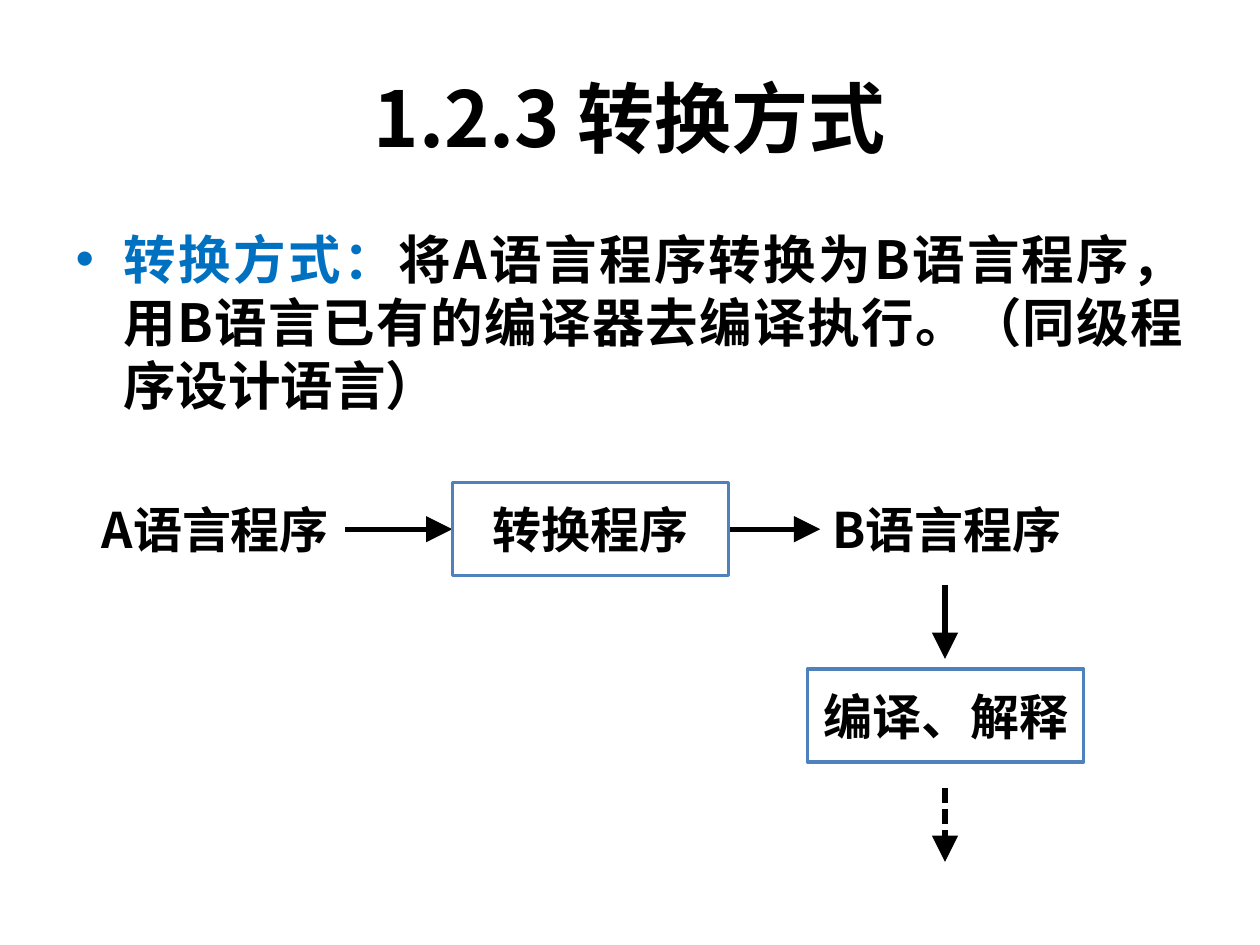
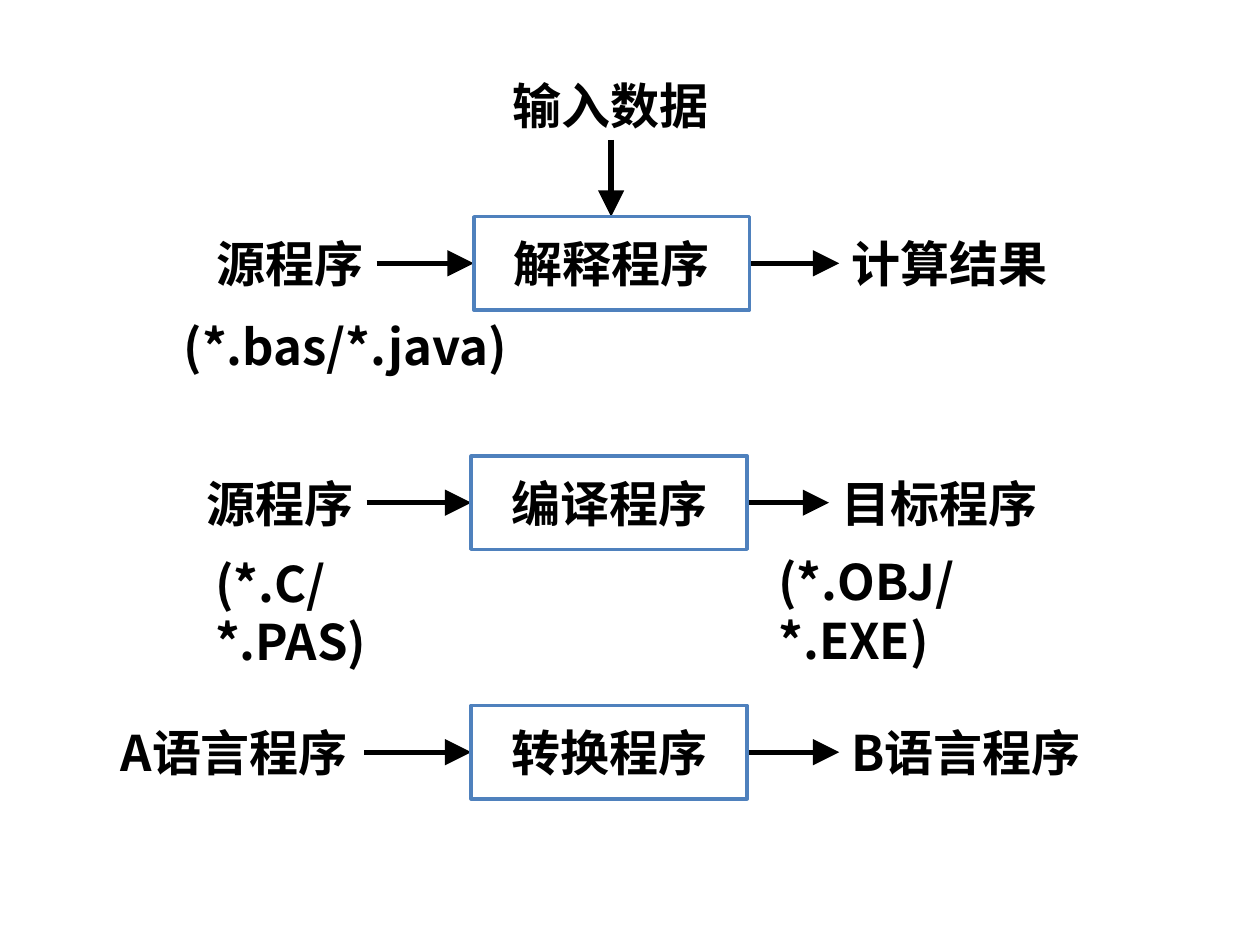
from dataclasses import dataclass

from lxml import etree
from pptx import Presentation
from pptx.dml.color import RGBColor
from pptx.enum.dml import MSO_LINE
from pptx.enum.shapes import MSO_CONNECTOR, MSO_SHAPE
from pptx.enum.text import MSO_ANCHOR, MSO_AUTO_SIZE, PP_ALIGN
from pptx.oxml.ns import qn
from pptx.util import Inches, Pt

CENTER, LEFT, JUSTIFY = PP_ALIGN.CENTER, PP_ALIGN.LEFT, PP_ALIGN.JUSTIFY
MIDDLE = MSO_ANCHOR.MIDDLE
NO_FIT = MSO_AUTO_SIZE.NONE
RECTANGLE = MSO_SHAPE.RECTANGLE
STRAIGHT = MSO_CONNECTOR.STRAIGHT
DASH = MSO_LINE.SQUARE_DOT


@dataclass(frozen=True)
class Theme:
    font: str = "Noto Sans CJK SC"
    ink: RGBColor = RGBColor(0, 0, 0)
    paper: RGBColor = RGBColor(255, 255, 255)
    accent: RGBColor = RGBColor(0x00, 0x70, 0xC0)
    outline: RGBColor = RGBColor(0x4F, 0x81, 0xBD)
    title: int = 44
    body: int = 30
    diagram: int = 28
    box_line: int = 2
    arrow_line: int = 3
    box_width: float = 2.19
    box_height: float = 0.74
    label_height: float = 0.57


theme = Theme()


def style_paragraph(para, size, alignment):
    para.alignment = alignment
    para.space_before = Pt(0)
    font = para.font
    font.name = theme.font
    font.size = Pt(size)
    font.bold = True
    font.color.rgb = theme.ink
    defaults = para._p.pPr.find(qn("a:defRPr"))
    etree.SubElement(defaults, qn("a:ea"), typeface=theme.font)


def draw_arrow(page, start_x, start_y, end_x, end_y, dashed=False):
    arrow = page.shapes.add_connector(
        STRAIGHT, Inches(start_x), Inches(start_y), Inches(end_x), Inches(end_y))
    arrow.line.color.rgb = theme.ink
    arrow.line.width = Pt(theme.arrow_line)
    if dashed:
        arrow.line.dash_style = DASH
    etree.SubElement(arrow.line._get_or_add_ln(), qn("a:tailEnd"),
                     type="triangle", w="lg", len="lg")
    etree.SubElement(arrow._element.spPr, qn("a:effectLst"))


deck = Presentation()
deck.slide_width = Inches(10)
deck.slide_height = Inches(7.5)
conversion_page = deck.slides.add_slide(deck.slide_layouts[1])
summary_page = deck.slides.add_slide(deck.slide_layouts[6])

title = conversion_page.shapes.title
title.left, title.top, title.width, title.height = (
    Inches(0.5), Inches(0.3), Inches(9), Inches(1.25))
title.text_frame.vertical_anchor = MIDDLE
title.text_frame.auto_size = NO_FIT
title.text_frame.text = "1.2.3 转换方式"
style_paragraph(title.text_frame.paragraphs[0], theme.title, CENTER)

body = conversion_page.placeholders[1]
body.left, body.top, body.width, body.height = (
    Inches(0.5), Inches(1.75), Inches(9), Inches(4.95))
body.text_frame.auto_size = NO_FIT
para = body.text_frame.paragraphs[0]
term = para.add_run()
term.text = "转换方式："
explanation = para.add_run()
explanation.text = "将A语言程序转换为B语言程序，用B语言已有的编译器去编译执行。（同级程序设计语言）"
properties = para._p.get_or_add_pPr()
properties.set("marL", str(Inches(0.38)))
properties.set("indent", str(-Inches(0.38)))
properties.set("hangingPunct", "0")
bullet_color = etree.SubElement(properties, qn("a:buClr"))
etree.SubElement(bullet_color, qn("a:srgbClr"), val=str(theme.accent))
etree.SubElement(properties, qn("a:buFont"), typeface="Arial")
etree.SubElement(properties, qn("a:buChar"), char="•")
style_paragraph(para, theme.body, JUSTIFY)
term.font.color.rgb = theme.accent

flows = [
    (conversion_page, 3.59, 3.83, "转换程序",
     "A语言程序", 0.71, 2.03, "B语言程序", 6.51, 2.25),
    (summary_page, 3.76, 1.72, "解释程序",
     "源程序", 1.62, 1.37, "计算结果", 6.66, 1.8),
    (summary_page, 3.74, 3.62, "编译程序",
     "源程序", 1.54, 1.37, "目标程序", 6.58, 1.87),
    (summary_page, 3.74, 5.6, "转换程序",
     "A语言程序", 0.86, 2.03, "B语言程序", 6.66, 2.25),
]
boxes = [(conversion_page, 6.41, 5.31, "编译、解释")]
labels = [
    (summary_page, 3.97, 0.55, 1.8, "输入数据"),
    (summary_page, 1.36, 2.46, 2.8, "(*.bas/*.java)"),
    (summary_page, 1.61, 4.34, 2, "(*.C/*.PAS)"),
    (summary_page, 6.08, 4.33, 2.5, "(*.OBJ/*.EXE)"),
]

for (page, box_x, box_y, program, source, source_x, source_width,
     result, result_x, result_width) in flows:
    middle = box_y + theme.box_height / 2
    label_y = middle - theme.label_height / 2
    boxes.append((page, box_x, box_y, program))
    labels.append((page, source_x, label_y, source_width + 0.03, source))
    labels.append((page, result_x, label_y, result_width, result))
    draw_arrow(page, source_x + source_width, middle, box_x, middle)
    draw_arrow(page, box_x + theme.box_width, middle, result_x, middle)

draw_arrow(conversion_page, 7.5, 4.64, 7.5, 5.23)
draw_arrow(conversion_page, 7.5, 6.25, 7.5, 6.84, dashed=True)
draw_arrow(summary_page, 4.85, 1.11, 4.85, 1.72)

for page, left, top, text in boxes:
    box = page.shapes.add_shape(
        RECTANGLE, Inches(left), Inches(top),
        Inches(theme.box_width), Inches(theme.box_height))
    box.shadow.inherit = False
    box.fill.solid()
    box.fill.fore_color.rgb = theme.paper
    box.line.color.rgb = theme.outline
    box.line.width = Pt(theme.box_line)
    box.text_frame.word_wrap = False
    box.text_frame.vertical_anchor = MIDDLE
    box.text_frame.text = text
    style_paragraph(box.text_frame.paragraphs[0], theme.diagram, CENTER)

for page, left, top, width, text in labels:
    label = page.shapes.add_textbox(
        Inches(left), Inches(top), Inches(width), Inches(theme.label_height))
    label.text_frame.word_wrap = True
    label.text_frame.text = text
    style_paragraph(label.text_frame.paragraphs[0], theme.diagram, LEFT)

deck.save("out.pptx")
